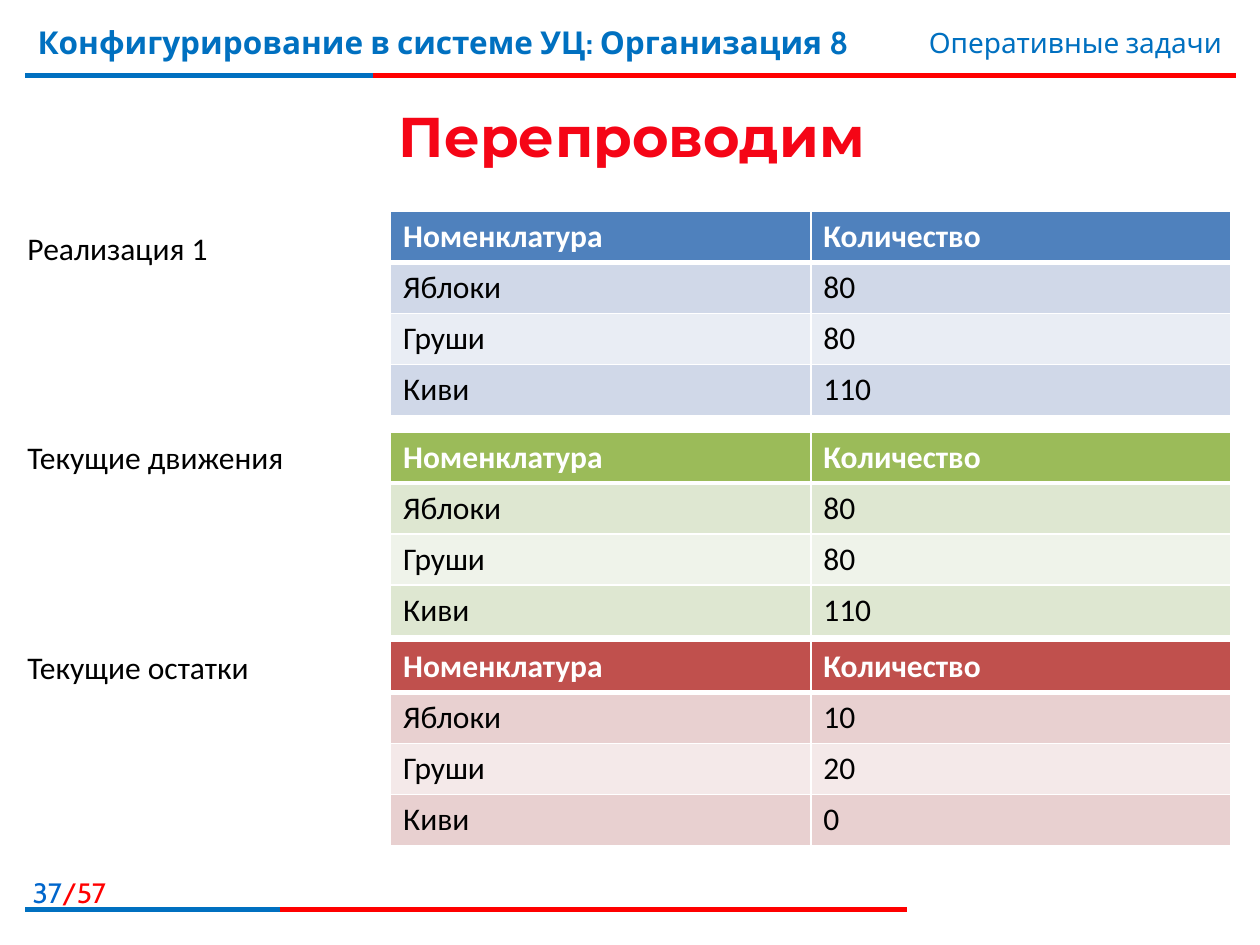
"""Build the slide that compares sales, movements and balances."""
from dataclasses import dataclass

from lxml import etree
from pptx import Presentation
from pptx import util as u
from pptx.dml.color import RGBColor
from pptx.enum import shapes, text
from pptx.oxml import ns

WIDTH, HEIGHT = u.Inches(10), u.Inches(7.5)
COLUMNS, ROWS = 100, 75


@dataclass(frozen=True)
class Theme:
    """Colours, fonts and type sizes of the slide."""

    blue: str = "0070C0"
    page_blue: str = "0066CC"
    red: str = "FF0000"
    title_red: str = "F50516"
    black: str = "000000"
    white: str = "FFFFFF"
    sales: tuple = ("4F81BD", "D0D8E8", "E9EDF4")
    movements: tuple = ("9BBB59", "DEE7D1", "EFF3EA")
    balances: tuple = ("C0504D", "E8D0D0", "F4E9E9")
    header_font: str = "Cabin"
    title_font: str = "Montserrat"
    body_font: str = "Calibri"
    title_size: int = 32
    body_size: int = 18
    small_size: int = 16
    rule_width: int = 3
    border_width: int = 1


THEME = Theme()
PRODUCTS = ("Яблоки", "Груши", "Киви")
HEADINGS = ("Номенклатура", "Количество")


def across(columns):
    """Turn grid columns into a length."""
    return int(WIDTH * columns / COLUMNS)


def down(rows):
    """Turn grid rows into a length."""
    return int(HEIGHT * rows / ROWS)


def box(left, top, width, height):
    """Turn a grid rectangle into lengths."""
    return across(left), down(top), across(width), down(height)


def style(run, font, size, color, bold=False):
    """Format one run."""
    run.font.name = font
    run.font.size = u.Pt(size)
    run.font.bold = bold
    run.font.color.rgb = RGBColor.from_string(color)


def add_text(slide, area, parts, font, size, bold=False, align=text.PP_ALIGN.LEFT):
    """Add a one-paragraph text box from (wording, colour) parts."""
    frame = slide.shapes.add_textbox(*box(*area)).text_frame
    frame.word_wrap = True
    paragraph = frame.paragraphs[0]
    paragraph.alignment = align
    for wording, color in parts:
        run = paragraph.add_run()
        run.text = wording
        style(run, font, size, color, bold)


def add_rule(slide, row, blue_end, red_end):
    """Add a red rule with a blue start."""
    for end, color in ((red_end, THEME.red), (blue_end, THEME.blue)):
        line = slide.shapes.add_connector(
            shapes.MSO_CONNECTOR.STRAIGHT, across(2), down(row), across(end), down(row))
        line.line.color.rgb = RGBColor.from_string(color)
        line.line.width = u.Pt(THEME.rule_width)
        etree.SubElement(line._element.spPr, ns.qn("a:effectLst"))


def add_title(slide, wording):
    """Place and format the title placeholder."""
    title = slide.shapes.title
    title.left, title.top, title.width, title.height = box(2.1, 6.3, 96.1, 8.9)
    title.text_frame.text = wording
    title.text_frame.vertical_anchor = text.MSO_ANCHOR.MIDDLE
    paragraph = title.text_frame.paragraphs[0]
    paragraph.alignment = text.PP_ALIGN.CENTER
    style(paragraph.runs[0], THEME.title_font, THEME.title_size, THEME.title_red, True)


def set_borders(cell, row):
    """Draw white cell borders, thicker under the heading row."""
    properties = cell._tc.get_or_add_tcPr()
    for side in ("L", "R", "T", "B"):
        heavy = (row, side) in ((0, "B"), (1, "T"))
        width = THEME.rule_width if heavy else THEME.border_width
        border = etree.SubElement(properties, ns.qn(f"a:ln{side}"), w=str(u.Pt(width)))
        fill = etree.SubElement(border, ns.qn("a:solidFill"))
        etree.SubElement(fill, ns.qn("a:srgbClr"), val=THEME.white)


def add_stock_table(slide, top, amounts, colors, marked=()):
    """Add a banded table of product amounts, with marked amounts in red."""
    records = [HEADINGS, *zip(PRODUCTS, amounts)]
    area = box(31, top, 66.7, 16.2)
    table = slide.shapes.add_table(len(records), len(HEADINGS), *area).table
    for row, record in enumerate(records):
        fill = colors[0] if row == 0 else colors[2 - row % 2]
        for column, wording in enumerate(record):
            cell = table.cell(row, column)
            set_borders(cell, row)
            cell.fill.solid()
            cell.fill.fore_color.rgb = RGBColor.from_string(fill)
            cell.text_frame.text = wording
            color = THEME.white if row == 0 else THEME.black
            if wording in marked:
                color = THEME.red
            run = cell.text_frame.paragraphs[0].runs[0]
            style(run, THEME.body_font, THEME.body_size, color, row == 0)


def add_section(slide, label, label_top, table_top, amounts, colors, marked=()):
    """Add a label and the table that it names."""
    add_text(slide, (1.2, label_top, 25, 4), [(label, THEME.black)],
             THEME.body_font, THEME.body_size)
    add_stock_table(slide, table_top, amounts, colors, marked)


def add_frame(slide):
    """Add the header, the page number and both rules."""
    right = text.PP_ALIGN.RIGHT
    add_rule(slide, 6, 29.6, 98.1)
    add_rule(slide, 72.2, 22.2, 72)
    add_text(slide, (0, 69, 9.4, 3.2), [("37", THEME.page_blue), ("/57", THEME.red)],
             THEME.header_font, THEME.small_size, align=right)
    add_text(slide, (2, 1.3, 74, 6.2),
             [("Конфигурирование в системе УЦ: Организация 8", THEME.blue)],
             THEME.header_font, THEME.body_size, bold=True)
    add_text(slide, (59.4, 1.5, 38.6, 3.7), [("Оперативные задачи", THEME.blue)],
             THEME.header_font, THEME.small_size, align=right)


def main():
    """Build and save the presentation."""
    presentation = Presentation()
    presentation.slide_width, presentation.slide_height = WIDTH, HEIGHT
    slide = presentation.slides.add_slide(presentation.slide_layouts[5])
    add_frame(slide)
    add_title(slide, "Перепроводим")
    add_section(slide, "Реализация 1", 17.7, 16.8, ("80", "80", "110"), THEME.sales)
    add_section(slide, "Текущие движения", 34.3, 34.3, ("80", "80", "110"), THEME.movements)
    add_section(slide, "Текущие остатки", 50.9, 50.9, ("10", "20", "0"), THEME.balances)
    presentation.save("out.pptx")


if __name__ == "__main__":
    main()
